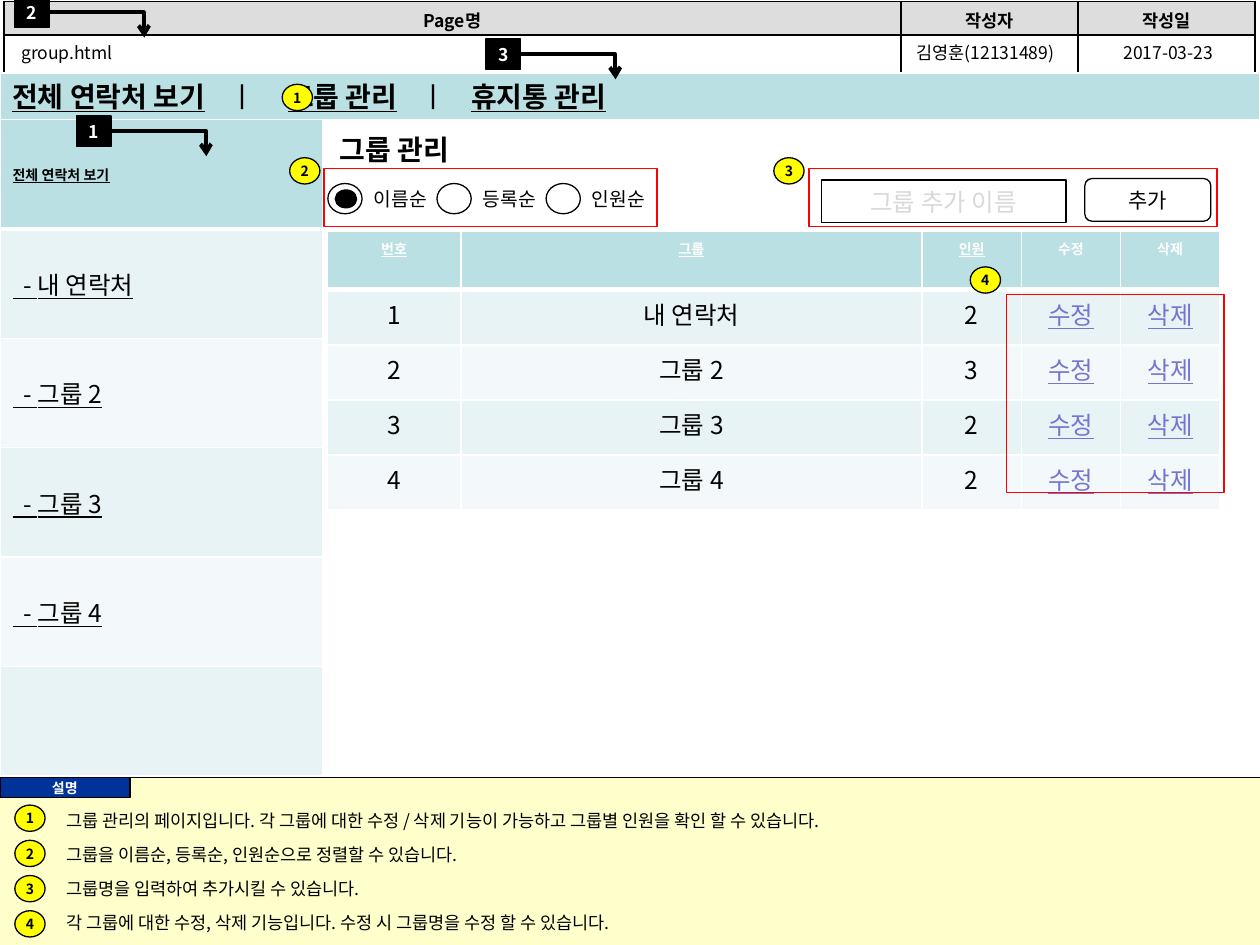
from lxml import etree
from pptx import Presentation
from pptx.dml.color import RGBColor
from pptx.enum.shapes import MSO_CONNECTOR, MSO_SHAPE
from pptx.enum.text import MSO_ANCHOR, PP_ALIGN
from pptx.oxml.ns import qn
from pptx.util import Cm, Pt

BLACK = RGBColor(0x00, 0x00, 0x00)
WHITE = RGBColor(0xFF, 0xFF, 0xFF)
GRAY = RGBColor(0xDD, 0xDD, 0xDD)
HINT = RGBColor(0xD9, 0xD9, 0xD9)
TEAL = RGBColor(0xBB, 0xE0, 0xE3)
BANDS = (RGBColor(0xE7, 0xF3, 0xF4), RGBColor(0xF3, 0xF9, 0xFA))
LINK = RGBColor(0x75, 0x75, 0xD1)
RED = RGBColor(0xFF, 0x00, 0x00)
YELLOW = RGBColor(0xFF, 0xFF, 0x00)
CREAM = RGBColor(0xFF, 0xFF, 0xCC)
NAVY = RGBColor(0x00, 0x33, 0x99)
FONT = "Noto Sans CJK KR"
LEFT, CENTER = PP_ALIGN.LEFT, PP_ALIGN.CENTER
TOP, MIDDLE = MSO_ANCHOR.TOP, MSO_ANCHOR.MIDDLE
RECTANGLE, ROUNDED, OVAL = MSO_SHAPE.RECTANGLE, MSO_SHAPE.ROUNDED_RECTANGLE, MSO_SHAPE.OVAL
STRAIGHT, ELBOW = MSO_CONNECTOR.STRAIGHT, MSO_CONNECTOR.ELBOW


def format_run(run, size, color=BLACK, bold=False, underline=False):
    """Apply the slide font and the given look to a run."""
    font = run.font
    font.size, font.bold, font.underline = Pt(size), bold, underline
    font.color.rgb = color
    font.name = FONT
    etree.SubElement(run._r.get_or_add_rPr(), qn("a:ea"), typeface=FONT)


def write(text_frame, text, size, align=LEFT, **look):
    """Fill a text frame with one formatted paragraph."""
    text_frame.text = text
    paragraph = text_frame.paragraphs[0]
    paragraph.alignment = align
    for run in paragraph.runs:
        format_run(run, size, **look)


def add_text(slide, box, text, size, align=LEFT, **look):
    """Add a wrapping text box, centred vertically."""
    text_frame = slide.shapes.add_textbox(*map(Cm, box)).text_frame
    text_frame.word_wrap = True
    text_frame.vertical_anchor = MIDDLE
    write(text_frame, text, size, align, **look)


def add_box(slide, box, kind=RECTANGLE, fill=None, line=BLACK, weight=0.75):
    """Add a flat preset shape, unfilled or unlined where the colour is None."""
    shape = slide.shapes.add_shape(kind, *map(Cm, box))
    shape.shadow.inherit = False
    for part, color in ((shape.fill, fill), (shape.line.fill, line)):
        if color is None:
            part.background()
        else:
            part.solid()
            part.fore_color.rgb = color
    if line is not None:
        shape.line.width = Pt(weight)
    shape.text_frame.vertical_anchor = MIDDLE
    return shape


def add_label(slide, box, text, size, kind=RECTANGLE, fill=None, **look):
    """Add a shape with tight centred text."""
    text_frame = add_box(slide, box, kind, fill).text_frame
    text_frame.margin_left = text_frame.margin_right = 0
    text_frame.margin_top = text_frame.margin_bottom = 0
    text_frame.word_wrap = False
    write(text_frame, text, size, CENTER, **look)


def add_line(slide, kind, start, end, weight):
    """Add a black connector without a shadow."""
    connector = slide.shapes.add_connector(kind, *map(Cm, start + end))
    connector.line.color.rgb = BLACK
    connector.line.width = Pt(weight)
    etree.SubElement(connector._element.spPr, qn("a:effectLst"))
    return connector


def add_marker(slide, left, top, number):
    """Add a yellow numbered circle."""
    add_label(slide, (left, top, 0.61, 0.53), str(number), 8, OVAL, YELLOW, bold=True)


def add_tag(slide, left, top, number):
    """Add a black numbered tag with a bent arrow."""
    add_label(slide, (left, top, 0.69, 0.61), str(number), 10, fill=BLACK, color=WHITE, bold=True)
    start = (left + 0.69, top + 0.3)
    arrow = add_line(slide, ELBOW, start, (start[0] + 1.92, start[1] + 0.51), 2.25)
    guides = arrow._element.spPr.find(qn("a:prstGeom")).get_or_add_avLst()
    etree.SubElement(guides, qn("a:gd"), name="adj1", fmla="val 99500")
    etree.SubElement(arrow.line._get_or_add_ln(), qn("a:tailEnd"), type="arrow")


def format_cell(cell, fill, border, bottom=1, anchor=TOP):
    """Set the fill, the four borders and the anchor of a cell."""
    if fill is None:
        cell.fill.background()
    else:
        cell.fill.solid()
        cell.fill.fore_color.rgb = fill
    cell.vertical_anchor = anchor
    properties = cell._tc.get_or_add_tcPr()
    for index, side in enumerate("LRTB"):
        width = Pt(bottom if side == "B" else 1)
        line = etree.Element(qn("a:ln" + side), w=str(width))
        solid = etree.SubElement(line, qn("a:solidFill"))
        etree.SubElement(solid, qn("a:srgbClr"), val=str(border))
        properties.insert(index, line)


def add_grid(slide, box, widths, heights):
    """Add a table with the given column widths and row heights."""
    table = slide.shapes.add_table(len(heights), len(widths), *map(Cm, box)).table
    for column, width in zip(table.columns, widths):
        column.width = Cm(width)
    for row, height in zip(table.rows, heights):
        row.height = Cm(height)
    return table


def add_header(slide, box):
    """Place the page information table and its values."""
    left, top, width, height = box
    side = 3.57
    table = add_grid(slide, box, (width - 2 * side, side, side), [height / 2] * 2)
    for column, title in enumerate(("Page명", "작성자", "작성일")):
        format_cell(table.cell(0, column), GRAY, BLACK)
        format_cell(table.cell(1, column), None, BLACK)
        write(table.cell(0, column).text_frame, title, 10, CENTER, bold=True)
    values = ((0.1, 17.88, "group.html", LEFT), (17.98, 3.61, "김영훈(12131489)", CENTER),
              (21.87, 3.2, "2017-03-23", CENTER))
    for offset, length, text, align in values:
        add_text(slide, (left + offset, top + 0.74, length, 0.58), text, 10, align)


def add_navigation(slide, box):
    """Place the navigation bar with its three links on tab stops."""
    shape = add_box(slide, box, fill=TEAL, line=WHITE)
    paragraph = shape.text_frame.paragraphs[0]
    paragraph.alignment = LEFT
    stops = etree.SubElement(paragraph._p.get_or_add_pPr(), qn("a:tabLst"))
    for position in (4.38, 5.56, 8.23, 9.25):
        etree.SubElement(stops, qn("a:tab"), pos=str(Cm(position)), algn="l")
    for index, text in enumerate(("전체 연락처 보기", "\tㅣ\t", "그룹 관리", "\tㅣ\t", "휴지통 관리")):
        run = paragraph.add_run()
        run.text = text
        is_link = index % 2 == 0
        format_run(run, 16, bold=is_link, underline=is_link)


def add_sidebar(slide, box):
    """Place the list of groups."""
    texts = ("전체 연락처 보기", "  - 내 연락처", "  - 그룹 2", "  - 그룹 3", "  - 그룹 4", "")
    table = add_grid(slide, box, [box[2]], [box[3] / len(texts)] * len(texts))
    for row, text in enumerate(texts):
        cell, first = table.cell(row, 0), row == 0
        format_cell(cell, TEAL if first else BANDS[(row - 1) % 2], WHITE, 3 if first else 1, MIDDLE)
        write(cell.text_frame, text, 8 if first else 14, bold=first, underline=True)


def add_group_table(slide, box):
    """Place the table of groups with the frame around its actions."""
    left, top, width, height = box
    titles = ("번호", "그룹", "인원", "수정", "삭제")
    groups = (("내 연락처", 2), ("그룹 2", 3), ("그룹 3", 2), ("그룹 4", 2))
    table = add_grid(slide, box, (2.69, width - 8.69, 2, 2, 2), [1.17] + [(height - 1.17) / 4] * 4)
    for column, title in enumerate(titles):
        cell = table.cell(0, column)
        format_cell(cell, TEAL, WHITE, 3)
        write(cell.text_frame, title, 8, CENTER, color=WHITE, bold=True, underline=column < 3)
    for row, (name, members) in enumerate(groups, 1):
        for column, value in enumerate((row, name, members, *titles[3:])):
            cell, is_link = table.cell(row, column), column > 2
            format_cell(cell, BANDS[(row - 1) % 2], WHITE)
            write(cell.text_frame, str(value), 14, CENTER,
                  color=LINK if is_link else BLACK, underline=is_link)
    add_box(slide, (left + 13.69, top + 1.27, 4.39, 3.99), line=RED, weight=1)


def add_sorting(slide, box):
    """Place the sort options, the first one chosen."""
    left, top = box[:2]
    for index, text in enumerate(("이름순", "등록순", "인원순")):
        start = left + 2.2 * index
        add_box(slide, (start + 0.08, top + 0.3, 0.69, 0.61), OVAL)
        add_text(slide, (start + 0.64, top + 0.23, 1.8, 0.74), text, 11, CENTER)
    add_box(slide, (left + 0.23, top + 0.43, 0.43, 0.36), OVAL, BLACK)
    add_box(slide, box, line=RED, weight=1)


def add_creation(slide, box):
    """Place the field and the button for a new group."""
    left, top = box[:2]
    add_label(slide, (left + 0.25, top + 0.23, 4.93, 0.86), "그룹 추가 이름", 14, color=HINT)
    add_label(slide, (left + 5.56, top + 0.2, 2.54, 0.86), "추가", 12, ROUNDED)
    add_box(slide, box, line=RED, weight=1)


def add_notes_panel(slide, box):
    """Place the numbered explanations."""
    left, top, width, _ = box
    notes = ("그룹 관리의 페이지입니다. 각 그룹에 대한 수정 / 삭제 기능이 가능하고 그룹별 인원을 확인 할 수 있습니다.",
             "그룹을 이름순, 등록순, 인원순으로 정렬할 수 있습니다.",
             "그룹명을 입력하여 추가시킬 수 있습니다.",
             "각 그룹에 대한 수정, 삭제 기능입니다. 수정 시 그룹명을 수정 할 수 있습니다.")
    add_box(slide, box, fill=CREAM, line=None)
    add_line(slide, STRAIGHT, (left, top), (left + width, top), 0.75)
    add_label(slide, (left, top, 2.62, 0.41), "설명", 8, fill=NAVY, color=WHITE, bold=True)
    for index, note in enumerate(notes):
        add_marker(slide, left + 0.3, top + 0.56 + 0.71 * index, index + 1)
        add_text(slide, (left + 1.09, top + 0.56 + 0.69 * index, 23.5, 0.61), note, 10)


def main():
    """Build the slide and save it."""
    presentation = Presentation()
    presentation.slide_width, presentation.slide_height = Cm(25.4), Cm(19.05)
    slide = presentation.slides.add_slide(presentation.slide_layouts[6])
    add_notes_panel(slide, (0, 15.67, 25.4, 3.38))
    add_header(slide, (0.08, 0.03, 25.22, 1.36))
    add_sidebar(slide, (0, 2.41, 6.5, 13.23))
    add_navigation(slide, (0, 1.47, 25.4, 0.94))
    add_text(slide, (6.6, 2.54, 8.33, 0.94), "그룹 관리", 16, bold=True)
    add_group_table(slide, (6.6, 4.67, 17.99, 5.61))
    add_sorting(slide, (6.53, 3.4, 6.71, 1.17))
    add_creation(slide, (16.31, 3.4, 8.23, 1.17))
    for number, position in enumerate(((5.69, 1.7), (5.84, 3.18), (15.6, 3.18), (19.56, 5.38)), 1):
        add_marker(slide, *position, number)
    for number, position in enumerate(((1.55, 2.34), (0.3, -0.05), (9.8, 0.79)), 1):
        add_tag(slide, *position, number)
    presentation.save("out.pptx")


if __name__ == "__main__":
    main()
